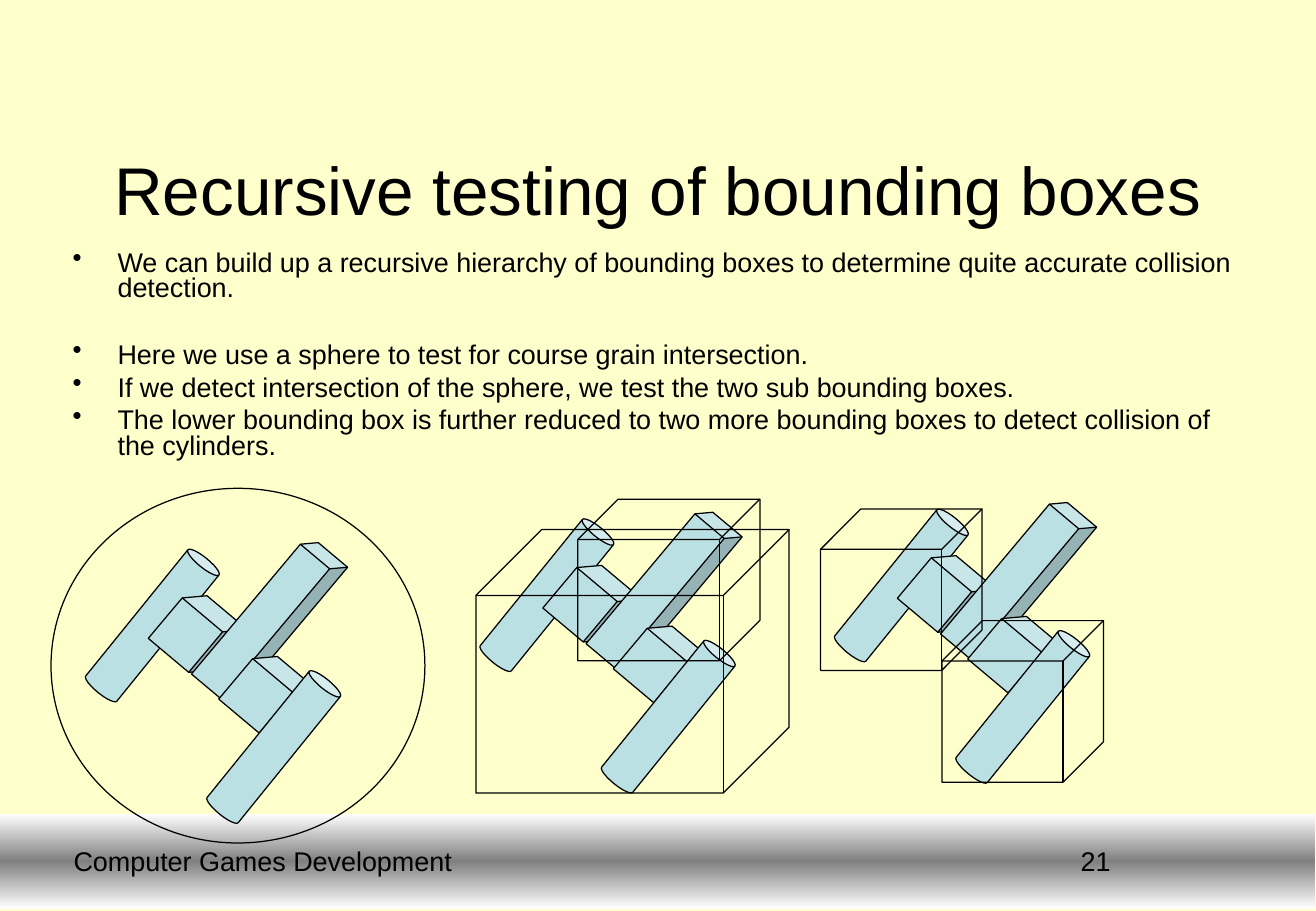
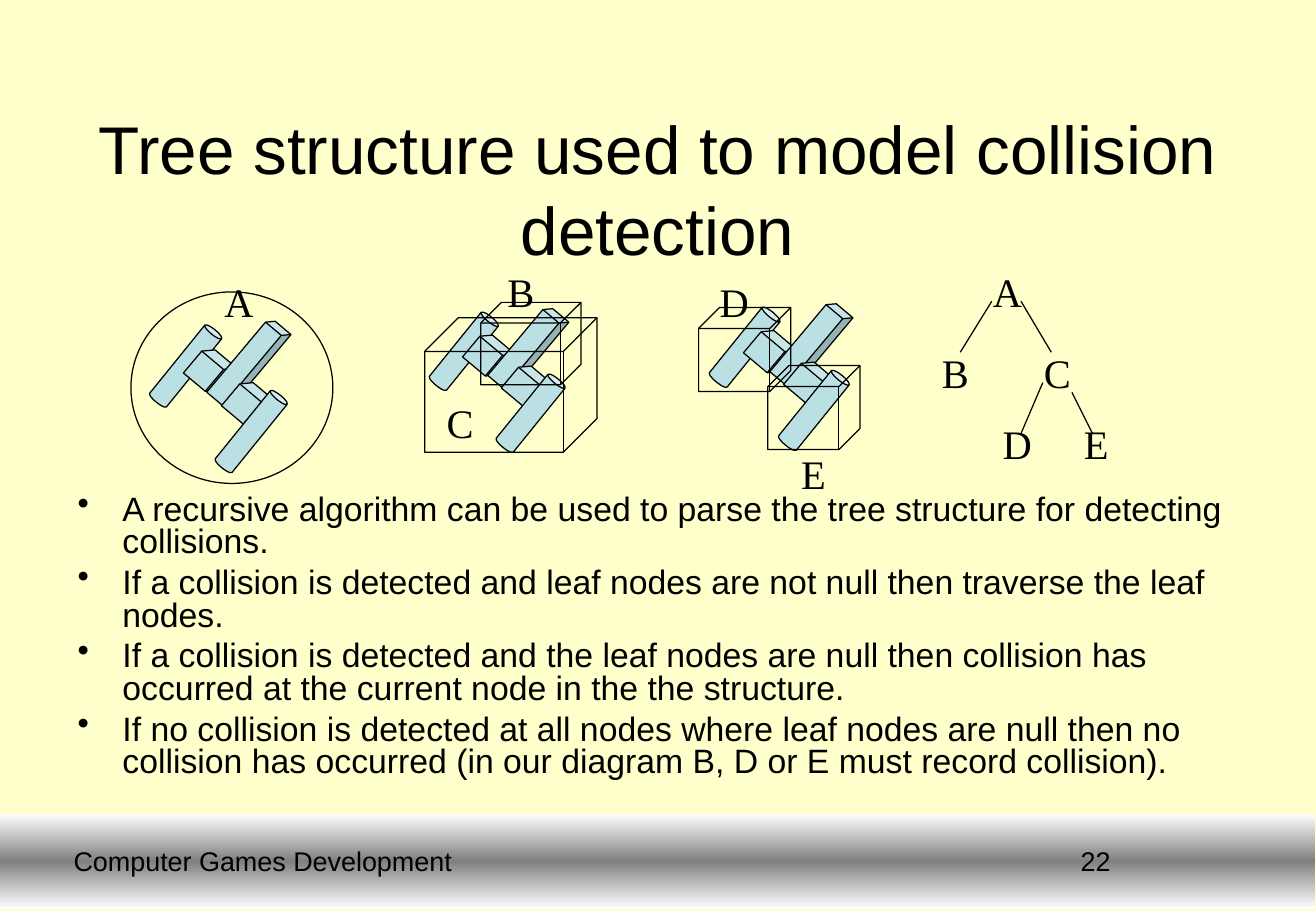
from copy import deepcopy

from lxml import etree
from pptx import Presentation
from pptx.dml.color import RGBColor
from pptx.enum import shapes, text
from pptx.oxml.ns import qn
from pptx.util import Inches, Pt

BLACK = RGBColor(0, 0, 0)
CREAM = RGBColor(0xFF, 0xFF, 0xCC)
PALE_BLUE = RGBColor(0xBB, 0xE0, 0xE3)
NEAR_WHITE = RGBColor(0xFE, 0xFE, 0xFE)
GREY = RGBColor(0x80, 0x80, 0x80)

CAN = shapes.MSO_SHAPE.CAN
CUBE = shapes.MSO_SHAPE.CUBE
OVAL = shapes.MSO_SHAPE.OVAL
FOOTER = "Computer Games Development"

# Spacecraft parts: shape, rotation, (left, top, width, height) from its origin
CRAFT = [
    (CAN, 39, (0, 0, 0.33, 1.42)),
    (CUBE, 40, (0.25, 0.49, 0.58, 0.58)),
    (CUBE, 40, (0.92, -0.08, 0.42, 1.5)),
    (CUBE, 40, (0.83, 0.99, 0.58, 0.58)),
    (CAN, 39, (1, 1, 0.33, 1.42)),
]
# Bounding volumes of each view, measured from the same origin
SPHERE = [(OVAL, 0, (-0.67, -0.42, 3.08, 2.92))]
TWO_BOXES = [(CUBE, 0, (0.42, -0.08, 1.5, 1.33)),
             (CUBE, 0, (-0.42, 0.17, 2.58, 2.17))]
SUB_BOXES = [(CUBE, 0, (-0.5, 0.08, 1.33, 1.33)),
             (CUBE, 0, (0.5, 1, 1.33, 1.33))]

# Views: bounding volumes, origin, horizontal and vertical scale
SLIDES = [
    {
        "number": 21,
        "title": "Recursive testing of bounding boxes",
        "title_at": (0.54, 0.93, 9.75, 1.25),
        "body_at": (0.5, 2.02, 9.75, 1.93),
        "size": 16,
        # Each bullet with its space before
        "bullets": [
            ("We can build up a recursive hierarchy of bounding boxes to "
             "determine quite accurate collision detection.", 0),
            ("Here we use a sphere to test for course grain intersection.", 24),
            ("If we detect intersection of the sphere, we test the two sub "
             "bounding boxes.", 4),
            ("The lower bounding box is further reduced to two more bounding "
             "boxes to detect collision of the cylinders.", 4),
        ],
        "views": [
            (SPHERE, (1.09, 4.44), (1, 1)),
            (TWO_BOXES, (4.34, 4.19), (1, 1)),
            (SUB_BOXES, (7.26, 4.11), (1, 1)),
        ],
        "labels": [],
        "edges": [],
    },
    {
        "number": 22,
        "title": "Tree structure used to model collision detection",
        "title_at": (0.54, 0.83, 9.75, 1.44),
        "body_at": (0.54, 4.03, 9.75, 2.52),
        "size": 20,
        "bullets": [
            ("A recursive algorithm can be used to parse the tree structure "
             "for detecting collisions.", 0),
            ("If a collision is detected and leaf nodes are not null then "
             "traverse the leaf nodes.", 5),
            ("If a collision is detected and the leaf nodes are null then "
             "collision has occurred at the current node in the the "
             "structure.", 5),
            ("If no collision is detected at all nodes where leaf nodes are "
             "null then no collision has occurred (in our diagram B, D or E "
             "must record collision).", 5),
        ],
        "views": [
            (SPHERE, (1.44, 2.63), (0.54, 0.54)),
            (TWO_BOXES, (3.73, 2.53), (0.55, 0.51)),
            (SUB_BOXES, (6.04, 2.49), (0.57, 0.52)),
        ],
        # Letters on the views, then the nodes of the tree
        "labels": [
            ("A", 1.75, 2.23), ("B", 4.08, 2.15), ("C", 3.58, 3.23),
            ("D", 5.83, 2.23), ("E", 6.5, 3.65),
            ("A", 8.08, 2.15), ("B", 7.66, 2.82), ("C", 8.5, 2.82),
            ("D", 8.16, 3.4), ("E", 8.83, 3.4),
        ],
        "edges": [
            (8.17, 2.48, 7.91, 2.9), (8.41, 2.48, 8.66, 2.9),
            (8.59, 3.15, 8.41, 3.57), (8.83, 3.23, 9, 3.57),
        ],
    },
]


def inches(values):
    return [Inches(value) for value in values]


def style(para, size, font="Arial"):
    para.font.size = Pt(size)
    para.font.name = font
    para.font.color.rgb = BLACK


def add_frame(page, at, anchor):
    frame = page.shapes.add_textbox(*inches(at)).text_frame
    frame.word_wrap = True
    frame.vertical_anchor = anchor
    return frame


def add_line_of_text(page, at, words, size):
    para = add_frame(page, at, text.MSO_ANCHOR.MIDDLE).paragraphs[0]
    para.text = words
    para.alignment = text.PP_ALIGN.CENTER
    style(para, size)


def add_band(page):
    band = page.shapes.add_shape(shapes.MSO_SHAPE.RECTANGLE,
                                 *inches((0, 6.7, 10.83, 0.78)))
    band.shadow.inherit = False
    band.line.fill.background()
    band.fill.gradient()
    band.fill.gradient_angle = 270
    first, last = band.fill.gradient_stops
    for stop, position in ((first, 0), (last, 1)):
        stop.color.rgb = NEAR_WHITE
        stop.position = position
    # Middle stop
    stop_list = band._element.spPr.find(".//" + qn("a:gsLst"))
    stop_list.insert(1, deepcopy(stop_list[0]))
    middle = band.fill.gradient_stops[1]
    middle.color.rgb = GREY
    middle.position = 0.5


def add_bullets(page, at, bullets, size):
    frame = add_frame(page, at, text.MSO_ANCHOR.TOP)
    for index, (words, space) in enumerate(bullets):
        para = frame.add_paragraph() if index else frame.paragraphs[0]
        para.text = words
        para.line_spacing = 0.8
        para.space_before = Pt(space)
        props = para._p.get_or_add_pPr()
        props.set("marL", str(Inches(0.37)))
        props.set("indent", str(Inches(-0.37)))
        etree.SubElement(props, qn("a:buChar"), char="•")
        style(para, size)


def add_view(page, volumes, origin, scale):
    for part in CRAFT + volumes:
        kind, rotation, (left, top, width, height) = part
        solid = page.shapes.add_shape(kind, *inches((
            origin[0] + left * scale[0], origin[1] + top * scale[1],
            width * scale[0], height * scale[1])))
        solid.rotation = rotation
        solid.shadow.inherit = False
        solid.line.color.rgb = BLACK
        solid.line.width = Pt(0.75)
        if kind != OVAL:
            solid.adjustments[0] = 0.25
        if part in CRAFT:
            solid.fill.solid()
            solid.fill.fore_color.rgb = PALE_BLUE
        else:
            solid.fill.background()


def add_label(page, letter, left, top):
    frame = add_frame(page, (left, top, 0.42, 0.5), text.MSO_ANCHOR.TOP)
    para = frame.paragraphs[0]
    para.text = letter
    style(para, 24, "Times New Roman")


def add_edge(page, ends):
    edge = page.shapes.add_connector(shapes.MSO_CONNECTOR.STRAIGHT,
                                     *inches(ends))
    edge.line.color.rgb = BLACK
    edge.line.width = Pt(0.75)
    etree.SubElement(edge._element.spPr, qn("a:effectLst"))


def add_page(deck, content):
    page = deck.slides.add_slide(deck.slide_layouts[6])
    # Band, footer and title
    add_band(page)
    add_line_of_text(page, (7.76, 6.83, 2.53, 0.52), str(content["number"]), 16)
    add_line_of_text(page, (0.45, 6.83, 3.43, 0.52), FOOTER, 16)
    add_line_of_text(page, content["title_at"], content["title"], 40)
    # Body and diagram
    add_bullets(page, content["body_at"], content["bullets"], content["size"])
    for view in content["views"]:
        add_view(page, *view)
    for label in content["labels"]:
        add_label(page, *label)
    for ends in content["edges"]:
        add_edge(page, ends)


def main():
    deck = Presentation()
    deck.slide_width, deck.slide_height = inches((10.84, 7.5))
    backdrop = deck.slide_master.background.fill
    backdrop.solid()
    backdrop.fore_color.rgb = CREAM
    for content in SLIDES:
        add_page(deck, content)
    deck.save("out.pptx")


if __name__ == "__main__":
    main()
